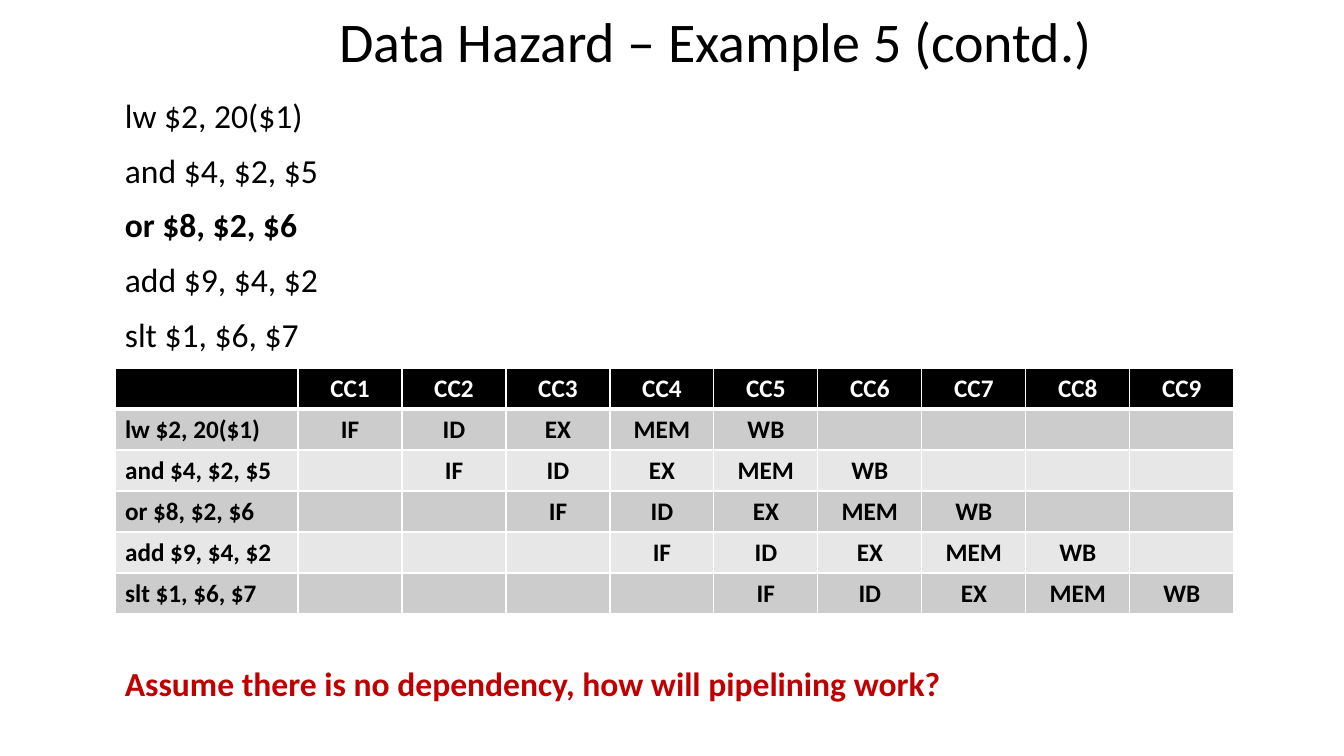
from lxml import etree
from pptx import Presentation
from pptx.dml.color import RGBColor
from pptx.enum.text import MSO_ANCHOR, PP_ALIGN
from pptx.oxml.ns import qn
from pptx.util import Emu, Pt

CENTER, LEFT, JUSTIFY = PP_ALIGN.CENTER, PP_ALIGN.LEFT, PP_ALIGN.JUSTIFY
MIDDLE = MSO_ANCHOR.MIDDLE
PIXEL = 914400 / 100.8
COLORS = {"text": "000000", "header": "000000", "white": "FFFFFF",
          "odd": "CCCCCC", "even": "E7E7E7", "question": "C00000"}


def px(length):
    return Emu(round(length * PIXEL))


class SlideBuilder:
    font = "Calibri"

    def __init__(self, slide):
        self.slide = slide

    def color(self, name):
        return RGBColor.from_string(COLORS[name])

    def add_span(self, para, text, size, color="text", bold=False, align=LEFT):
        para.alignment = align
        span = para.add_run()
        span.text = text
        span.font.name = self.font
        span.font.size = Pt(size)
        span.font.bold = bold
        span.font.color.rgb = self.color(color)

    def title(self, text, bounds, size):
        box = self.slide.shapes.title
        box.left, box.top, box.width, box.height = map(px, bounds)
        box.text_frame.word_wrap = True
        box.text_frame.vertical_anchor = MIDDLE
        self.add_span(box.text_frame.paragraphs[0], text, size, align=CENTER)

    def text(self, lines, bounds, size, color="text", bold_lines=(), align=LEFT):
        frame = self.slide.shapes.add_textbox(*map(px, bounds)).text_frame
        frame.word_wrap = True
        frame.vertical_anchor = MIDDLE
        for index, line in enumerate(lines):
            para = frame.add_paragraph() if index else frame.paragraphs[0]
            para.space_before, para.space_after = Pt(4.3), Pt(6)
            self.add_span(para, line, size, color, line in bold_lines, align)

    def border(self, cell, side, width):
        line = etree.SubElement(cell._tc.get_or_add_tcPr(), qn(f"a:ln{side}"),
                                w=str(Pt(width)))
        fill = etree.SubElement(line, qn("a:solidFill"))
        etree.SubElement(fill, qn("a:srgbClr"), val=COLORS["white"])

    def table(self, rows, left, top, widths, row_height, size):
        bounds = (left, top, sum(widths), row_height * len(rows))
        table = self.slide.shapes.add_table(
            len(rows), len(widths), *map(px, bounds)).table
        for column, width in zip(table.columns, widths):
            column.width = px(width)
        for row_index, row in enumerate(rows):
            table.rows[row_index].height = px(row_height)
            band = "odd" if row_index % 2 else "even"
            for column_index, text in enumerate(row):
                cell = table.cell(row_index, column_index)
                for side in "LRTB":
                    thick = (row_index, side) in ((0, "B"), (1, "T"))
                    self.border(cell, side, 3 if thick else 1)
                cell.fill.solid()
                cell.fill.fore_color.rgb = self.color(band if row_index else "header")
                if text:
                    self.add_span(cell.text_frame.paragraphs[0], text, size,
                                  "text" if row_index else "white", True,
                                  CENTER if column_index else LEFT)


deck = Presentation()
deck.slide_width, deck.slide_height = px(1344), px(756)
page = SlideBuilder(deck.slides.add_slide(deck.slide_layouts[5]))

instructions = ["lw $2, 20($1)", "and $4, $2, $5", "or $8, $2, $6",
                "add $9, $4, $2", "slt $1, $6, $7"]
stages = ["IF", "ID", "EX", "MEM", "WB"]
cycles = len(instructions) + len(stages) - 1
pipeline = [[""] + [f"CC{cycle}" for cycle in range(1, cycles + 1)]]
for start, instruction in enumerate(instructions):
    after = cycles - start - len(stages)
    pipeline.append([instruction] + [""] * start + stages + [""] * after)

page.title("Data Hazard – Example 5 (contd.)", (163, 0, 1105, 81), 40)
page.text(instructions, (115, 81, 1105, 287), 24,
          bold_lines=[instructions[2]], align=JUSTIFY)
page.table(pipeline, 115, 368, [183] + [104] * cycles, 41, 18)
question = "Assume there is no dependency, how will pipelining work?"
page.text([question], (115, 640, 1105, 87), 24, "question", [question])

deck.save("out.pptx")
